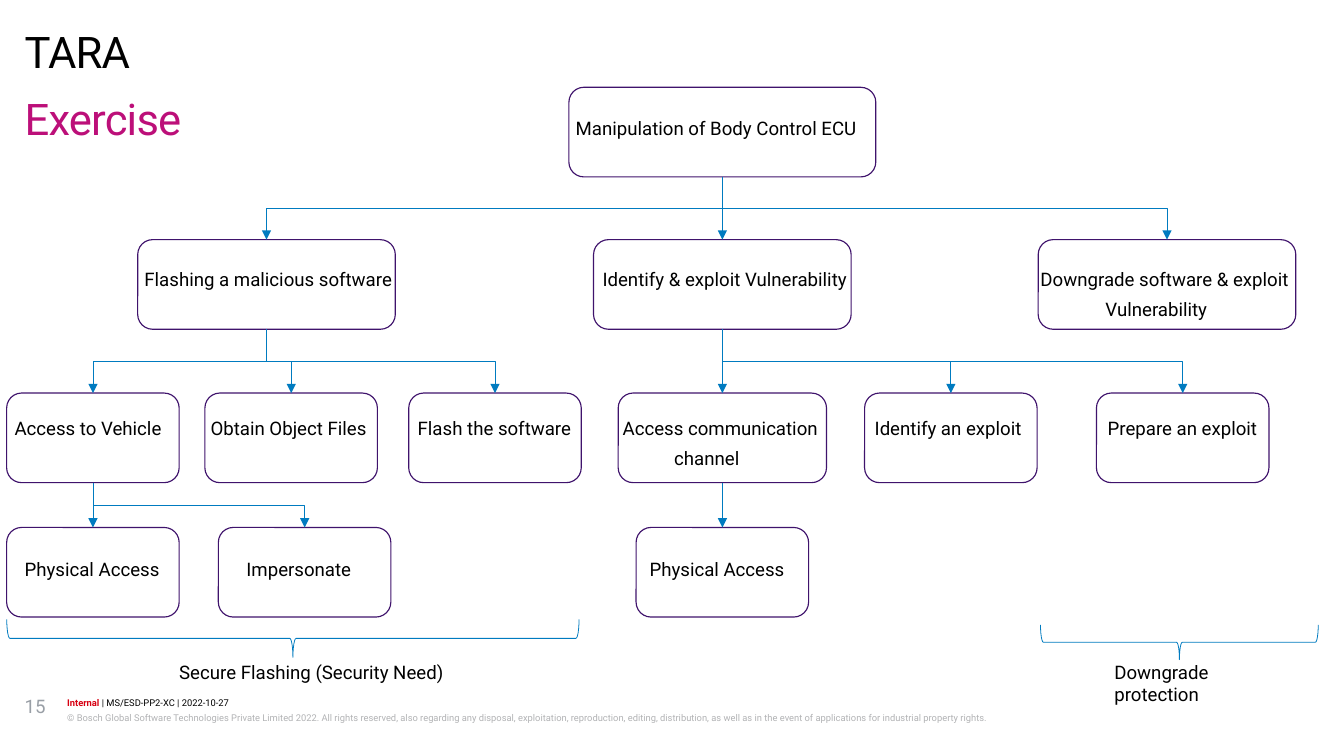
from lxml import etree
from pptx import Presentation
from pptx.dml.color import RGBColor
from pptx.enum.shapes import MSO_CONNECTOR, MSO_SHAPE
from pptx.enum.text import MSO_ANCHOR, PP_ALIGN
from pptx.oxml.ns import qn
from pptx.util import Inches, Pt

ROUNDED, BRACE = MSO_SHAPE.ROUNDED_RECTANGLE, MSO_SHAPE.RIGHT_BRACE
STRAIGHT, ELBOW = MSO_CONNECTOR.STRAIGHT, MSO_CONNECTOR.ELBOW
TOP, LEFT = MSO_ANCHOR.TOP, PP_ALIGN.LEFT
TITLE_ONLY = 5

THEME = {
    "font": "Roboto",
    "ink": "000000", "accent": "BC0F79", "red": "D70012",
    "grey": "B2B3B5", "number": "999FA6",
    "box": "3F136C", "link": "007BC0",
    "heading": 28, "body": 12, "small": 6,
    "box_line": 0.75, "link_line": 0.5,
}

# Tree grid in inches: row tops, label drop within each row, box height
ROW = [0.78, 2.14, 3.51, 4.71]
LABEL_DROP = [0.26, 0.25, 0.21, 0.27]
BOX_H = 0.8
LABEL_H = 0.27
MARGIN = 0.22
FOOT_X = 0.6

# key: (row, column centre, box width, label inset, lines, second-line indent)
NODES = {
    "root": (0, 6.45, 2.74, 0.06, ["Manipulation of Body Control ECU"], 0),
    "flashing": (1, 2.38, 2.3, 0.06, ["Flashing a malicious software"], 0),
    "vulnerability": (1, 6.45, 2.3, 0.08, ["Identify & exploit Vulnerability"], 0),
    "downgrade": (1, 10.42, 2.3, 0.02,
                  ["Downgrade software & exploit", "Vulnerability"], 0.58),
    "vehicle": (2, 0.83, 1.54, 0.07, ["Access to Vehicle"], 0),
    "files": (2, 2.6, 1.54, 0.05, ["Obtain Object Files"], 0),
    "flash": (2, 4.42, 1.54, 0.08, ["Flash the software"], 0),
    "channel": (2, 6.45, 1.86, 0.04, ["Access communication", "channel"], 0.46),
    "identify": (2, 8.49, 1.54, 0.09, ["Identify an exploit"], 0),
    "prepare": (2, 10.56, 1.54, 0.1, ["Prepare an exploit"], 0),
    "physical": (3, 0.83, 1.54, 0.16, ["Physical Access"], 0),
    "impersonate": (3, 2.72, 1.54, 0.25, ["Impersonate"], 0),
    "channel_access": (3, 6.45, 1.54, 0.12, ["Physical Access"], 0),
}
CHILDREN = {
    "root": ["flashing", "vulnerability", "downgrade"],
    "flashing": ["vehicle", "files", "flash"],
    "vulnerability": ["channel", "identify", "prepare"],
    "vehicle": ["physical", "impersonate"],
    "channel": ["channel_access"],
}
# (left, top, width, height, label left, label)
BRACES = [
    (0.06, 5.53, 5.11, 0.34, 1.6, "Secure Flashing (Security Need)"),
    (9.29, 5.58, 2.48, 0.31, 9.95, "Downgrade protection"),
]


def write(sp, paragraphs, size, spacing=None, wrap=False, tracking=None):
    """Fill sp with paragraphs, each a list of (text, colour, bold) runs."""
    tf = sp.text_frame
    frame_format = {"margin_left": 0, "margin_top": 0, "margin_right": 0,
                    "margin_bottom": 0, "word_wrap": wrap, "vertical_anchor": TOP}
    for name, value in frame_format.items():
        setattr(tf, name, value)
    for i, runs in enumerate(paragraphs):
        p = tf.add_paragraph() if i else tf.paragraphs[0]
        p.alignment = LEFT
        p.line_spacing = spacing
        if i:
            p.space_before = Pt(5)
        for text, colour, bold in runs:
            r = p.add_run()
            r.text = text
            for name, value in {"name": THEME["font"], "size": Pt(size),
                                "bold": bold}.items():
                setattr(r.font, name, value)
            r.font.color.rgb = RGBColor.from_string(THEME[colour])
            if tracking:
                r.font._element.set("spc", str(int(tracking * 100)))


def outline(sp, kind):
    sp.line.color.rgb = RGBColor.from_string(THEME[kind])
    sp.line.width = Pt(THEME[kind + "_line"])


prs = Presentation()
prs.slide_width, prs.slide_height = Inches(12), Inches(6.75)
s = prs.slides.add_slide(prs.slide_layouts[TITLE_ONLY])

# Headings
heading = [Inches(v) for v in (MARGIN, 0.28, 11.55, 0.43)]
topic = s.shapes.add_textbox(*heading)
title = s.shapes.title
title.left, title.top, title.width, title.height = heading
title.top = Inches(0.88)
for sp, text, colour in [(topic, "TARA", "ink"), (title, "Exercise", "accent")]:
    write(sp, [[(text, colour, False)]], THEME["heading"], 0.89, True, -0.5)

# Footer
footer = [
    (FOOT_X, 6.22, 9.98, 0.12, "small", 1.07,
     [("Internal", "red", True), (" | MS/ESD-PP2-XC | 2022-10-27", "ink", False)]),
    (FOOT_X, 6.34, 9.98, 0.24, "small", 1.2,
     [("© Bosch Global Software Technologies Private Limited 2022. All rights "
       "reserved, also regarding any disposal, exploitation, reproduction, editing, "
       "distribution, as well as in the event of applications for industrial "
       "property rights.", "grey", False)]),
    (MARGIN, 6.2, 0.32, 0.45, "body", 1.0, [("15", "number", False)]),
]
for x, y, w, h, size, spacing, runs in footer:
    sp = s.shapes.add_textbox(Inches(x), Inches(y), Inches(w), Inches(h))
    write(sp, [runs], THEME[size], spacing, True)

# Attack tree boxes and their labels
for row, cx, w, inset, lines, indent in NODES.values():
    x, y = cx - w / 2, ROW[row]
    sp = s.shapes.add_shape(ROUNDED, Inches(x), Inches(y), Inches(w), Inches(BOX_H))
    sp.shadow.inherit = False
    sp.fill.background()
    outline(sp, "box")
    label = s.shapes.add_textbox(Inches(x + inset), Inches(y + LABEL_DROP[row]),
                                 Inches(w - inset), Inches(LABEL_H))
    write(label, [[(line, "ink", False)] for line in lines], THEME["body"])
    if indent:
        pPr = label.text_frame.paragraphs[1]._p.get_or_add_pPr()
        pPr.set("marL", str(Inches(indent)))

# Arrows from each parent to its children
for parent, children in CHILDREN.items():
    row, x1 = NODES[parent][:2]
    y1 = ROW[row] + BOX_H
    for child in children:
        child_row, x2 = NODES[child][:2]
        y2 = ROW[child_row]
        ends, kind, turn = (x1, y1, x2, y2), STRAIGHT, 0
        if x1 != x2:
            # An elbow leaves sideways, so lay it on its side and turn it upright
            cx, cy = (x1 + x2) / 2, (y1 + y2) / 2
            half_w, half_h = (y2 - y1) / 2, abs(x2 - x1) / 2
            side = 1 if x2 > x1 else -1
            ends = (cx + side * half_w, cy - half_h, cx - side * half_w, cy + half_h)
            kind, turn = ELBOW, 270 if side > 0 else 90
        cxn = s.shapes.add_connector(kind, *[Inches(v) for v in ends])
        outline(cxn, "link")
        spPr = cxn._element.spPr
        spPr.xfrm.set("rot", str(turn * 60000))
        etree.SubElement(cxn.line._get_or_add_ln(), qn("a:tailEnd"), type="triangle")
        etree.SubElement(spPr, qn("a:effectLst"))

# Braces under the branches, tips pointing down
for x, y, w, h, label_x, text in BRACES:
    sp = s.shapes.add_shape(BRACE, Inches(x + (w - h) / 2), Inches(y - (w - h) / 2),
                            Inches(h), Inches(w))
    sp.rotation = 90
    sp.shadow.inherit = False
    sp.fill.background()
    outline(sp, "link")
    label = s.shapes.add_textbox(Inches(label_x), Inches(5.9), Inches(w / 2),
                                 Inches(LABEL_H))
    write(label, [[(text, "ink", False)]], THEME["body"])

prs.save("out.pptx")
